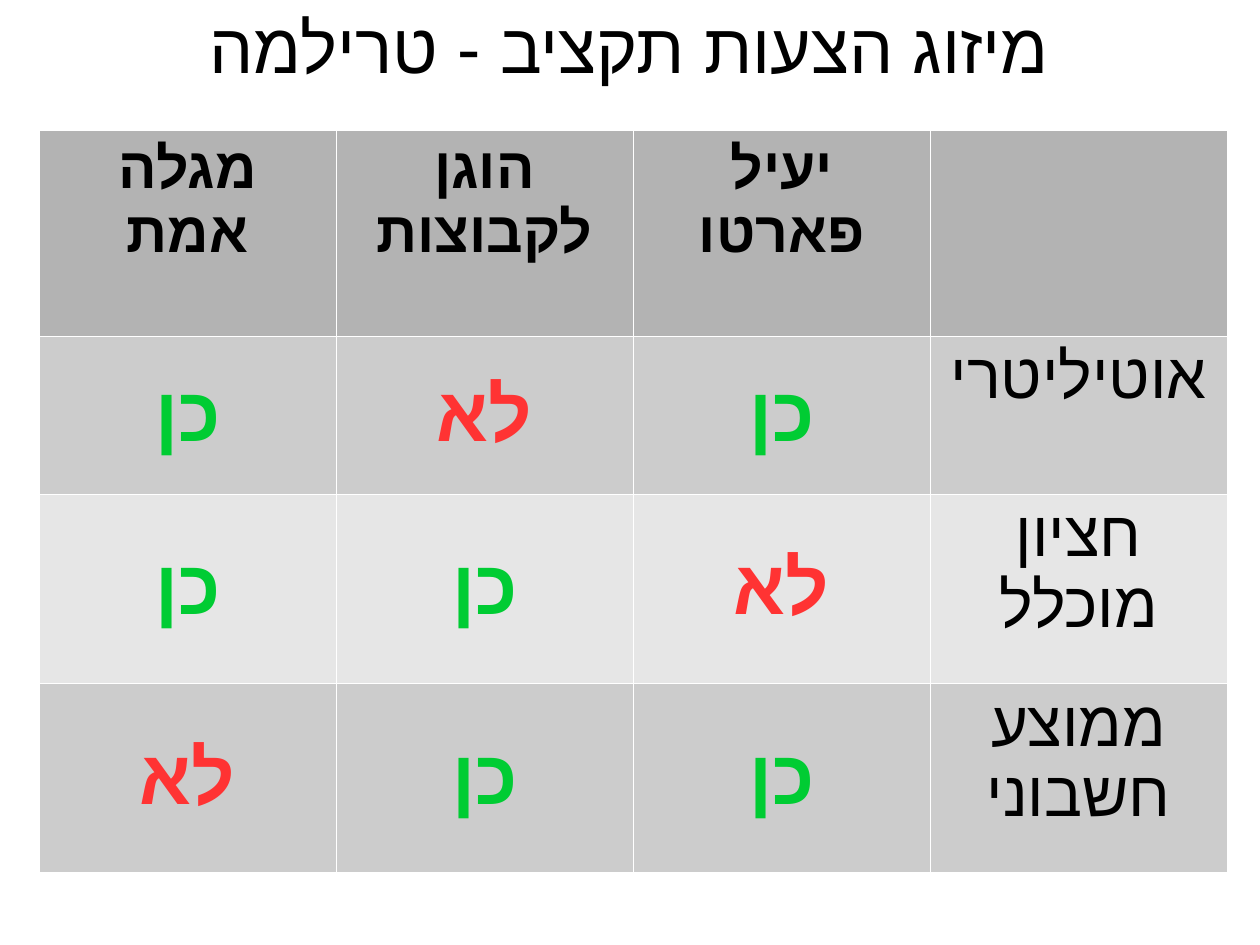
from dataclasses import dataclass

from lxml import etree
from pptx import Presentation
from pptx.dml.color import RGBColor
from pptx.enum.text import MSO_ANCHOR, MSO_AUTO_SIZE, PP_ALIGN
from pptx.oxml.ns import qn
from pptx.table import _Cell
from pptx.text.text import TextFrame
from pptx.util import Cm, Pt

TOP, MIDDLE = MSO_ANCHOR.TOP, MSO_ANCHOR.MIDDLE
CENTER = PP_ALIGN.CENTER
NO_FIT = MSO_AUTO_SIZE.NONE
FONT = "Arial"
BLACK, WHITE = "000000", "FFFFFF"
GREEN, RED = "00CC33", "FF3333"
HEAD, DARK, LIGHT = "B3B3B3", "CCCCCC", "E6E6E6"
YES, NO = "כן", "לא"


@dataclass
class Row:
    texts: list[str]
    height: float
    fill: str


ROWS = [
    Row(["מגלה אמת", "הוגן לקבוצות", "יעיל פארטו", ""], 4.56, HEAD),
    Row([YES, NO, YES, "אוטיליטרי"], 3.51, DARK),
    Row([YES, YES, NO, "חציון מוכלל"], 4.21, LIGHT),
    Row([NO, YES, YES, "ממוצע חשבוני"], 4.21, DARK),
]
COLS = 4
WIDTH = 6.6


def color(code: str) -> RGBColor:
    return RGBColor.from_string(code)


def write(frame: TextFrame, text: str, *, size: float,
          tint: str = BLACK, bold: bool = False) -> None:
    para = frame.paragraphs[0]
    para.alignment = CENTER
    para._p.get_or_add_pPr().set("rtl", "1")
    run = para.add_run()
    run.text = text
    font = run.font
    font.size, font.bold, font.name = Pt(size), bold, FONT
    font.color.rgb = color(tint)
    script = etree.SubElement(run._r.get_or_add_rPr(), qn("a:cs"))
    script.set("typeface", FONT)


def border(cell: _Cell) -> None:
    props = cell._tc.get_or_add_tcPr()
    for side in ("lnL", "lnR", "lnT", "lnB"):
        line = etree.SubElement(props, qn(f"a:{side}"), w=str(Pt(0.06)))
        fill = etree.SubElement(line, qn("a:solidFill"))
        etree.SubElement(fill, qn("a:srgbClr"), val=WHITE)


def fill_cell(cell: _Cell, text: str, shade: str, head: bool) -> None:
    border(cell)
    cell.fill.solid()
    cell.fill.fore_color.rgb = color(shade)
    vote = text in (YES, NO)
    cell.vertical_anchor = MIDDLE if vote else TOP
    if vote:
        tint = GREEN if text == YES else RED
        write(cell.text_frame, text, size=48, tint=tint, bold=True)
    elif text:
        write(cell.text_frame, text, size=36 if head else 40, bold=head)


def main() -> None:
    deck = Presentation()
    deck.slide_width, deck.slide_height = Cm(28), Cm(21)
    slide = deck.slides.add_slide(deck.slide_layouts[5])

    title = slide.shapes.title
    title.left, title.top = Cm(0), Cm(-0.25)
    title.width, title.height = Cm(28), Cm(2.54)
    frame = title.text_frame
    frame.margin_left = frame.margin_right = Cm(0)
    frame.margin_top = frame.margin_bottom = Cm(0)
    frame.vertical_anchor = MIDDLE
    frame.word_wrap = True
    frame.auto_size = NO_FIT
    write(frame, "מיזוג הצעות תקציב - טרילמה", size=44)

    tall = sum(row.height for row in ROWS)
    table = slide.shapes.add_table(
        len(ROWS), COLS, Cm(0.87), Cm(2.9), Cm(COLS * WIDTH), Cm(tall)).table
    for col in table.columns:
        col.width = Cm(WIDTH)
    for i, row in enumerate(ROWS):
        table.rows[i].height = Cm(row.height)
        for j, text in enumerate(row.texts):
            fill_cell(table.cell(i, j), text, row.fill, head=i == 0)

    deck.save("out.pptx")


if __name__ == "__main__":
    main()
